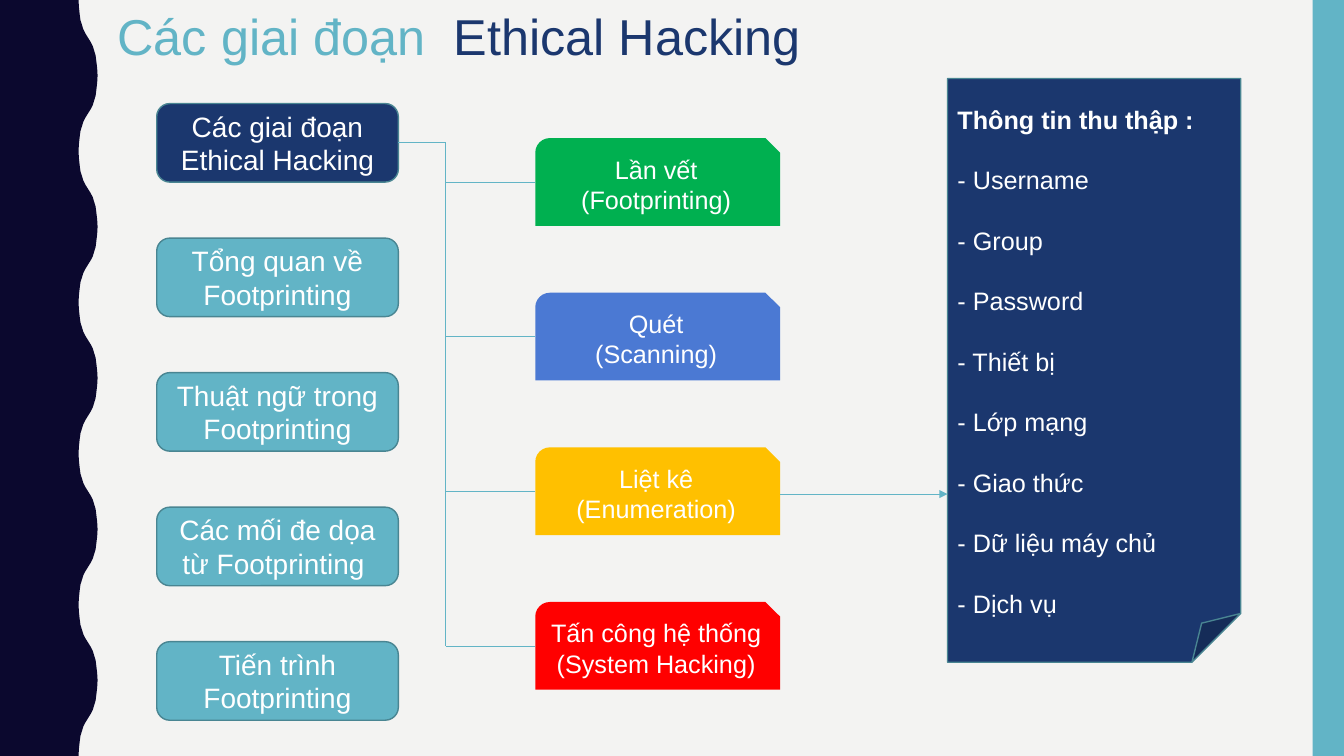
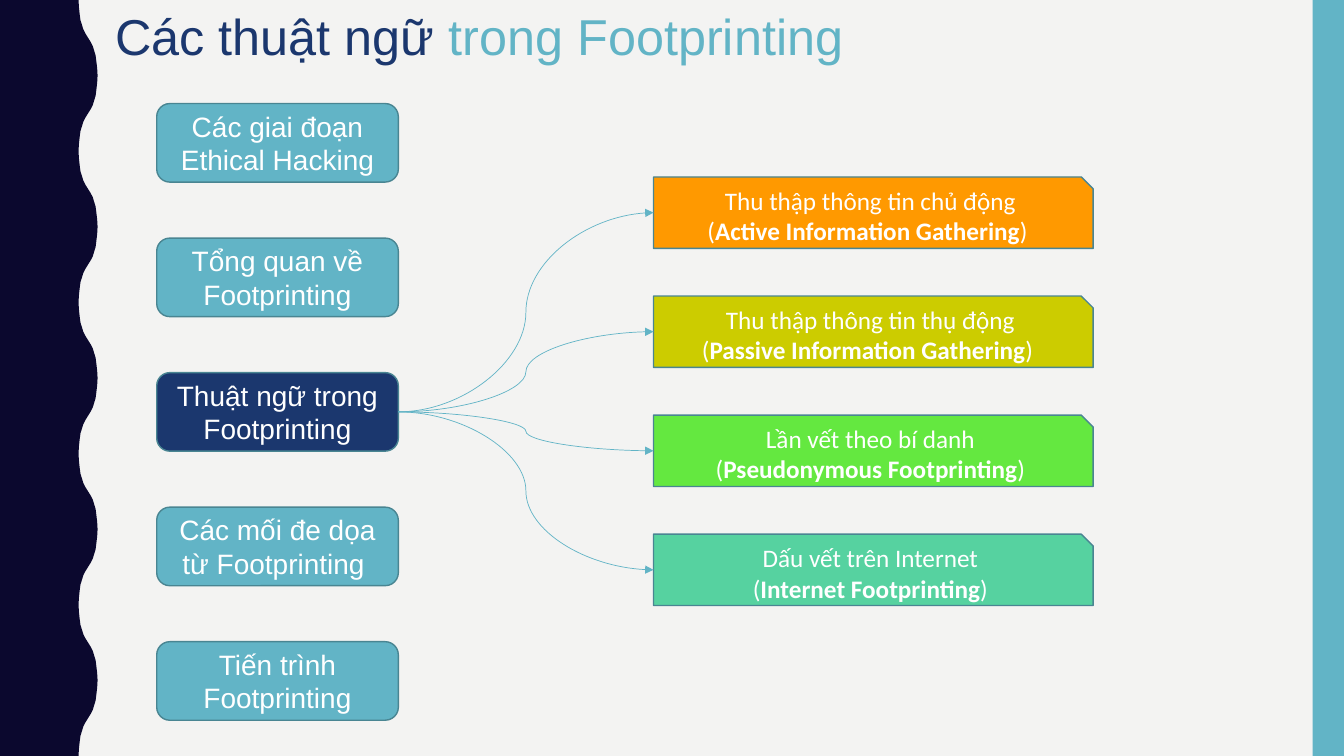
from dataclasses import dataclass

from lxml import etree
from pptx import Presentation
from pptx import util as u
from pptx.dml import color
from pptx.enum import shapes, text
from pptx.oxml import ns

WIDTH, HEIGHT = 33.87, 19.05
PAPER, NIGHT, NAVY, TEAL, EDGE, WHITE = "F3F3F2", "0B082E", "1B376E", "62B4C6", "498592", "FFFFFF"
PRESET = shapes.MSO_SHAPE
CONNECTOR = shapes.MSO_CONNECTOR
CENTER = text.PP_ALIGN.CENTER

MENU = [
    "Các giai đoạn Ethical Hacking",
    "Tổng quan về Footprinting",
    "Thuật ngữ trong Footprinting",
    "Các mối đe dọa từ Footprinting ",
    "Tiến trình Footprinting",
]
PHASES = [
    ("Lần vết\n(Footprinting)", "00B050"),
    ("Quét\n(Scanning)", "4B79D3"),
    ("Liệt kê\n(Enumeration)", "FFC000"),
    ("Tấn công hệ thống\n(System Hacking)", "FF0000"),
]
COLLECTED = [
    "Thông tin thu thập :", "- Username", "- Group", "- Password", "- Thiết bị",
    "- Lớp mạng", "- Giao thức", "- Dữ liệu máy chủ", "- Dịch vụ",
]
TERMS = [
    ("Thu thập thông tin chủ động", "Active Information Gathering", ") ", "FF9900"),
    ("Thu thập thông tin thụ động", "Passive Information Gathering", ") ", "CCCC00"),
    ("Lần vết theo bí danh", "Pseudonymous Footprinting", ")", "64E840"),
    ("Dấu vết trên Internet", "Internet Footprinting", ")", "56D2A0"),
]


@dataclass
class Box:
    """A rectangle in centimetres."""
    left: float
    top: float
    width: float
    height: float

    @property
    def right(self):
        """Return the right edge."""
        return self.left + self.width

    @property
    def middle(self):
        """Return the height of the horizontal centre line."""
        return self.top + self.height / 2

    def lengths(self):
        """Return the four measures as lengths."""
        return [u.Cm(value) for value in (self.left, self.top, self.width, self.height)]

    def rows(self, count, row_height):
        """Split the box into equal rows with equal gaps."""
        step = (self.height - row_height) / (count - 1)
        return [Box(self.left, self.top + index * step, self.width, row_height)
                for index in range(count)]


MENU_BOX = Box(3.95, 2.61, 6.09, 15.54)
PHASES_BOX = Box(13.49, 3.48, 6.17, 13.9)
PANEL_BOX = Box(23.88, 1.98, 7.39, 14.71)
TERMS_BOX = Box(16.47, 4.46, 11.08, 10.8)


def paint(fill, hex_color):
    """Give a fill one solid colour."""
    fill.solid()
    fill.fore_color.rgb = color.RGBColor.from_string(hex_color)


def style_text(frame, size, font="Arial", alignment=CENTER):
    """Format all runs of a text frame."""
    frame.word_wrap = True
    for paragraph in frame.paragraphs:
        paragraph.alignment = alignment
        for run in paragraph.runs:
            run.font.name = font
            run.font.size = u.Pt(size)
            paint(run.font.fill, WHITE)


def finish(shape, fill, edge=None):
    """Set the fill and outline of a shape and drop its shadow."""
    shape.shadow.inherit = False
    paint(shape.fill, fill)
    if edge:
        paint(shape.line.fill, edge)
        shape.line.width = u.Pt(1)
    else:
        shape.line.fill.background()


def add_block(slide, preset, box, fill, edge=None):
    """Add a preset shape with vertically centred text."""
    shape = slide.shapes.add_shape(preset, *box.lengths())
    finish(shape, fill, edge)
    shape.text_frame.vertical_anchor = text.MSO_ANCHOR.MIDDLE
    return shape


def add_link(slide, start, end, kind=CONNECTOR.STRAIGHT, arrow=False):
    """Add a thin connector between two points, with an optional arrowhead."""
    link = slide.shapes.add_connector(kind, *[u.Cm(value) for value in (*start, *end)])
    paint(link.line.fill, TEAL)
    link.line.width = u.Pt(0.5)
    if arrow:
        etree.SubElement(link.line._get_or_add_ln(), ns.qn("a:tailEnd"), type="triangle")
    etree.SubElement(link._element.spPr, ns.qn("a:effectLst"))


def add_wave(slide, box, depth, waves):
    """Add a dark band whose right edge is wavy."""
    period = box.height / waves
    trough = box.right - depth
    bend = [(0, 0), (0.01, 0.18), (0.03, 0.36), (0.05, 0.51), (0.09, 0.64), (0.12, 0.74), (0.17, 0.84)]
    swing = bend + [(depth - x, period / 2 - y) for x, y in reversed(bend)]
    wave = swing + [(x, period - y) for x, y in reversed(swing[:-1])]
    edge = [(trough + x, box.top + index * period + y) for index in range(waves) for x, y in wave]
    corner = (box.left, box.top + box.height)
    outline = slide.shapes.build_freeform(u.Cm(box.left), u.Cm(box.top), scale=1.0)
    outline.add_line_segments([(u.Cm(x), u.Cm(y)) for x, y in edge + [corner]])
    finish(outline.convert_to_shape(), NIGHT)


def add_title(slide, box, parts):
    """Add a title made of coloured parts."""
    frame = slide.shapes.add_textbox(*box.lengths()).text_frame
    paragraph = frame.paragraphs[0]
    for words, _ in parts:
        paragraph.add_run().text = words
    style_text(frame, 36)
    for run, (_, hex_color) in zip(paragraph.runs, parts):
        paint(run.font.fill, hex_color)


def add_menu(slide, box, current):
    """Add the column of topics and highlight the current one."""
    for index, (topic, row) in enumerate(zip(MENU, box.rows(len(MENU), 1.98))):
        fill = NAVY if index == current else TEAL
        button = add_block(slide, PRESET.ROUNDED_RECTANGLE, row, fill, EDGE)
        button.text_frame.text = topic
        style_text(button.text_frame, 20)


def add_phases(slide, box, origin):
    """Add the phase tiles and the tree that joins them to the origin."""
    trunk = box.left - 2.26
    rows = box.rows(len(PHASES), 2.21)
    for (label, fill), row in zip(PHASES, rows):
        tile = add_block(slide, PRESET.SNIP_ROUND_RECTANGLE, row, fill)
        tile.text_frame.text = label
        style_text(tile.text_frame, 18)
        add_link(slide, (trunk, row.middle), (row.left, row.middle))
    add_link(slide, origin, (trunk, origin[1]))
    add_link(slide, (trunk, origin[1]), (trunk, rows[-1].middle))


def add_panel(slide, box):
    """Add the note that lists the collected information."""
    panel = add_block(slide, PRESET.FOLDED_CORNER, box, NAVY, EDGE)
    frame = panel.text_frame
    frame.text = "\n".join(COLLECTED)
    style_text(frame, 18, alignment=text.PP_ALIGN.LEFT)
    for paragraph in frame.paragraphs:
        paragraph.line_spacing = 2.0
    frame.paragraphs[0].runs[0].font.bold = True


def add_terms(slide, box, origin):
    """Add the term boxes with curved arrows from the origin."""
    for (term, english, closing, fill), row in zip(TERMS, box.rows(len(TERMS), 1.8)):
        frame = add_block(slide, PRESET.SNIP_1_RECTANGLE, row, fill, EDGE).text_frame
        frame.text = term
        translation = frame.add_paragraph()
        for words in ("(", english, closing):
            translation.add_run().text = words
        translation.runs[1].font.bold = True
        style_text(frame, 18, "Calibri")
        add_link(slide, origin, (row.left, row.middle), CONNECTOR.CURVE, arrow=True)


def add_topic_slide(presentation, title_width, title, current):
    """Add a slide with bands, title and menu; return it with the current topic's exit point."""
    slide = presentation.slides.add_slide(presentation.slide_layouts[6])
    paint(slide.background.fill, PAPER)
    add_wave(slide, Box(0, 0, 2.46, HEIGHT), 0.48, 5)
    add_block(slide, PRESET.RECTANGLE, Box(WIDTH - 0.79, 0, 0.79, HEIGHT), TEAL)
    add_title(slide, Box(2.57, 0, title_width, 1.8), title)
    add_menu(slide, MENU_BOX, current)
    row = MENU_BOX.rows(len(MENU), 1.98)[current]
    return slide, (row.right, row.middle)


def add_phases_slide(presentation):
    """Add the slide on the phases of ethical hacking."""
    title = [("Các giai đoạn  ", TEAL), ("Ethical Hacking", NAVY)]
    slide, origin = add_topic_slide(presentation, 18.01, title, 0)
    add_phases(slide, PHASES_BOX, origin)
    add_panel(slide, PANEL_BOX)
    add_link(slide, (PHASES_BOX.right, 12.45), (PANEL_BOX.left, 12.45), arrow=True)


def add_terms_slide(presentation):
    """Add the slide on footprinting terms."""
    title = [("Các thuật ngữ ", NAVY), ("trong Footprinting", TEAL)]
    slide, origin = add_topic_slide(presentation, 19.02, title, 2)
    add_terms(slide, TERMS_BOX, origin)


def main():
    """Build and save the presentation."""
    presentation = Presentation()
    presentation.slide_width = u.Cm(WIDTH)
    presentation.slide_height = u.Cm(HEIGHT)
    add_phases_slide(presentation)
    add_terms_slide(presentation)
    presentation.save("out.pptx")


if __name__ == "__main__":
    main()
